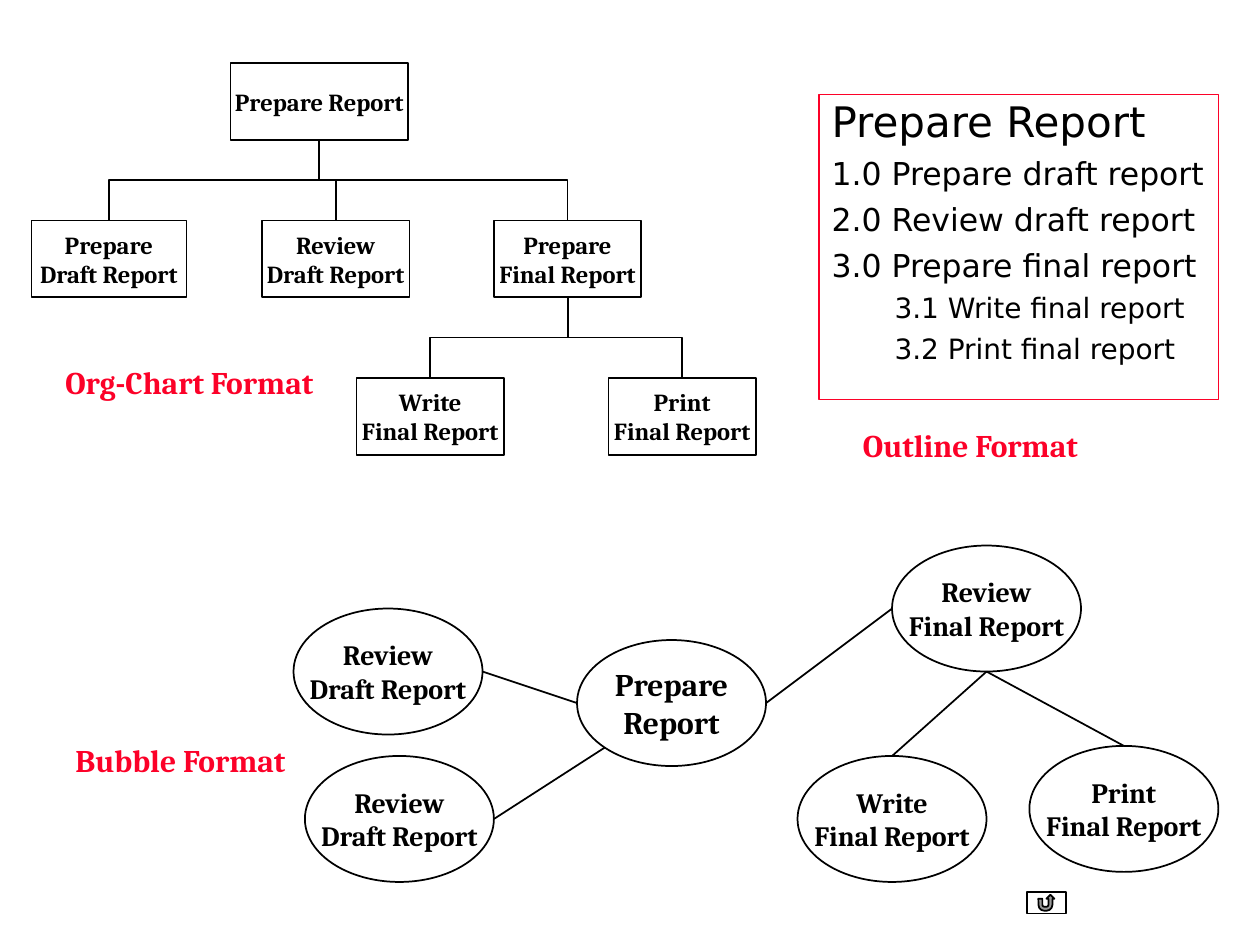
from lxml import etree
from pptx import Presentation
from pptx import util as u
from pptx.dml.color import RGBColor
from pptx.enum import shapes, text
from pptx.oxml.ns import qn

BLACK = RGBColor(0x00, 0x00, 0x00)
WHITE = RGBColor(0xFF, 0xFF, 0xFF)
RED = RGBColor(0xFC, 0x01, 0x28)
SERIF, SANS = "Cambria", "DejaVu Sans"
RECT, OVAL = shapes.MSO_SHAPE.RECTANGLE, shapes.MSO_SHAPE.OVAL

TASK_HEIGHT = 0.61
TASKS = {
    "report": (1.83, 0.5, 1.41, ["Prepare Report"]),
    "draft": (0.25, 1.75, 1.23, ["Prepare", "Draft Report"]),
    "review": (2.08, 1.75, 1.17, ["Review", "Draft Report"]),
    "final": (3.92, 1.75, 1.17, ["Prepare", "Final Report"]),
    "write": (2.83, 3, 1.17, ["Write", "Final Report"]),
    "print": (4.83, 3, 1.17, ["Print", "Final Report"]),
}
BRANCHES = [("report", "draft"), ("report", "final"), ("report", "review"),
            ("final", "write"), ("final", "print")]

BUBBLE_WIDTH, BUBBLE_HEIGHT = 1.5, 1
BUBBLES = {
    "draft": (2.33, 4.83, 16, ["Review", "Draft Report"]),
    "report": (4.58, 5.08, 18, ["Prepare", "Report"]),
    "review": (2.42, 6, 16, ["Review", "Draft Report"]),
    "final": (7.08, 4.33, 16, ["Review", "Final Report"]),
    "print": (8.17, 5.92, 16, ["Print", "Final Report"]),
    "write": (6.33, 6, 16, ["Write", "Final Report"]),
}
SITES = {"left": (-1, 0), "right": (1, 0), "top": (0, -1),
         "bottom": (0, 1), "lower left": (-0.71, 0.71)}
LINKS = [("report", "left", "draft", "right"),
         ("report", "lower left", "review", "right"),
         ("report", "right", "final", "left"),
         ("final", "bottom", "write", "top"),
         ("final", "bottom", "print", "top")]

OUTLINE = [
    ("Prepare Report", 0, 24, 0),
    ("1.0 Prepare draft report", 0, 18, 6.8),
    ("2.0 Review draft report", 0, 18, 6.8),
    ("3.0 Prepare final report", 0, 18, 6.8),
    ("3.1 Write final report", 1, 16, 6),
    ("3.2 Print final report", 1, 16, 6),
]
INDENTS = [(0.31, -0.31), (0.75, -0.25)]

CAPTIONS = [
    ("Org-Chart Format", 0.42, 2.83, 2.23),
    ("Outline Format", 6.75, 3.33, 1.95),
    ("Bubble Format", 0.5, 5.83, 1.9),
]


def write(paragraph, words, size, font=SERIF, color=BLACK, bold=True, align=None):
    paragraph.text = words
    paragraph.alignment = align
    paragraph.font.size = u.Pt(size)
    paragraph.font.name = font
    paragraph.font.bold = bold
    paragraph.font.color.rgb = color


def add_node(slide, preset, left, top, width, height, lines=(), size=14):
    node = slide.shapes.add_shape(preset, *map(u.Inches, (left, top, width, height)))
    node.shadow.inherit = False
    node.fill.solid()
    node.fill.fore_color.rgb = WHITE
    node.line.color.rgb = BLACK
    node.line.width = u.Pt(1)
    frame = node.text_frame
    frame.word_wrap = False
    frame.vertical_anchor = text.MSO_ANCHOR.MIDDLE
    for row, words in enumerate(lines):
        paragraph = frame.add_paragraph() if row else frame.paragraphs[0]
        write(paragraph, words, size, align=text.PP_ALIGN.CENTER)


def add_line(slide, kind, start, end):
    line = slide.shapes.add_connector(kind, *map(u.Inches, (*start, *end)))
    line.line.color.rgb = BLACK
    line.line.width = u.Pt(1)
    etree.SubElement(line._element.spPr, qn("a:effectLst"))
    return line


def add_branch(slide, parent, child):
    left, top, width, _ = TASKS[parent]
    x1, y1 = left + width / 2, top + TASK_HEIGHT
    left, y2, width, _ = TASKS[child]
    x2 = left + width / 2
    branch = add_line(slide, shapes.MSO_CONNECTOR.ELBOW, (x1, y1), (x2, y2))
    run, drop = abs(x2 - x1), y2 - y1
    branch.left = u.Inches((x1 + x2 - drop) / 2)
    branch.top = u.Inches((y1 + y2 - run) / 2)
    branch.width, branch.height = u.Inches(drop), u.Inches(run)
    frame = branch._element.spPr.find(qn("a:xfrm"))
    frame.attrib.pop("flipH", None)
    frame.set("rot", str((90 if x2 < x1 else 270) * 60000))
    if x2 > x1:
        frame.set("flipH", "1")


def bubble_site(name, site):
    left, top = BUBBLES[name][:2]
    across, down = SITES[site]
    return (left + BUBBLE_WIDTH / 2 * (1 + across),
            top + BUBBLE_HEIGHT / 2 * (1 + down))


def add_outline(slide):
    outline = slide.placeholders[1]
    outline.left, outline.top = u.Inches(6.5), u.Inches(0.75)
    outline.width, outline.height = u.Inches(3.17), u.Inches(2.42)
    outline.line.color.rgb = RED
    outline.line.width = u.Pt(1)
    frame = outline.text_frame
    frame.auto_size = text.MSO_AUTO_SIZE.NONE
    frame.word_wrap = True
    frame.vertical_anchor = text.MSO_ANCHOR.TOP
    for row, (words, level, size, before) in enumerate(OUTLINE):
        paragraph = frame.add_paragraph() if row else frame.paragraphs[0]
        paragraph.level = level
        paragraph.line_spacing = 0.9
        paragraph.space_before = u.Pt(before)
        properties = paragraph._p.get_or_add_pPr()
        margin, indent = INDENTS[level]
        properties.set("marL", str(u.Inches(margin)))
        properties.set("indent", str(u.Inches(indent)))
        etree.SubElement(properties, qn("a:buNone"))
        write(paragraph, words, size, font=SANS, bold=False)


def main():
    deck = Presentation()
    deck.slide_width, deck.slide_height = u.Inches(10), u.Inches(7.5)
    slide = deck.slides.add_slide(deck.slide_layouts[1])
    title = slide.shapes.title._element
    title.getparent().remove(title)

    add_node(slide, shapes.MSO_SHAPE.ACTION_BUTTON_RETURN, 8.15, 7.08, 0.31, 0.17)
    add_outline(slide)

    for left, top, size, lines in BUBBLES.values():
        add_node(slide, OVAL, left, top, BUBBLE_WIDTH, BUBBLE_HEIGHT, lines, size)
    for source, source_site, target, target_site in LINKS:
        add_line(slide, shapes.MSO_CONNECTOR.STRAIGHT,
                 bubble_site(source, source_site), bubble_site(target, target_site))

    for left, top, width, lines in TASKS.values():
        add_node(slide, RECT, left, top, width, TASK_HEIGHT, lines)
    for parent, child in BRANCHES:
        add_branch(slide, parent, child)

    for words, left, top, width in CAPTIONS:
        caption = slide.shapes.add_textbox(*map(u.Inches, (left, top, width, 0.4)))
        caption.text_frame.word_wrap = False
        write(caption.text_frame.paragraphs[0], words, 18, color=RED)

    deck.save("out.pptx")


if __name__ == "__main__":
    main()
